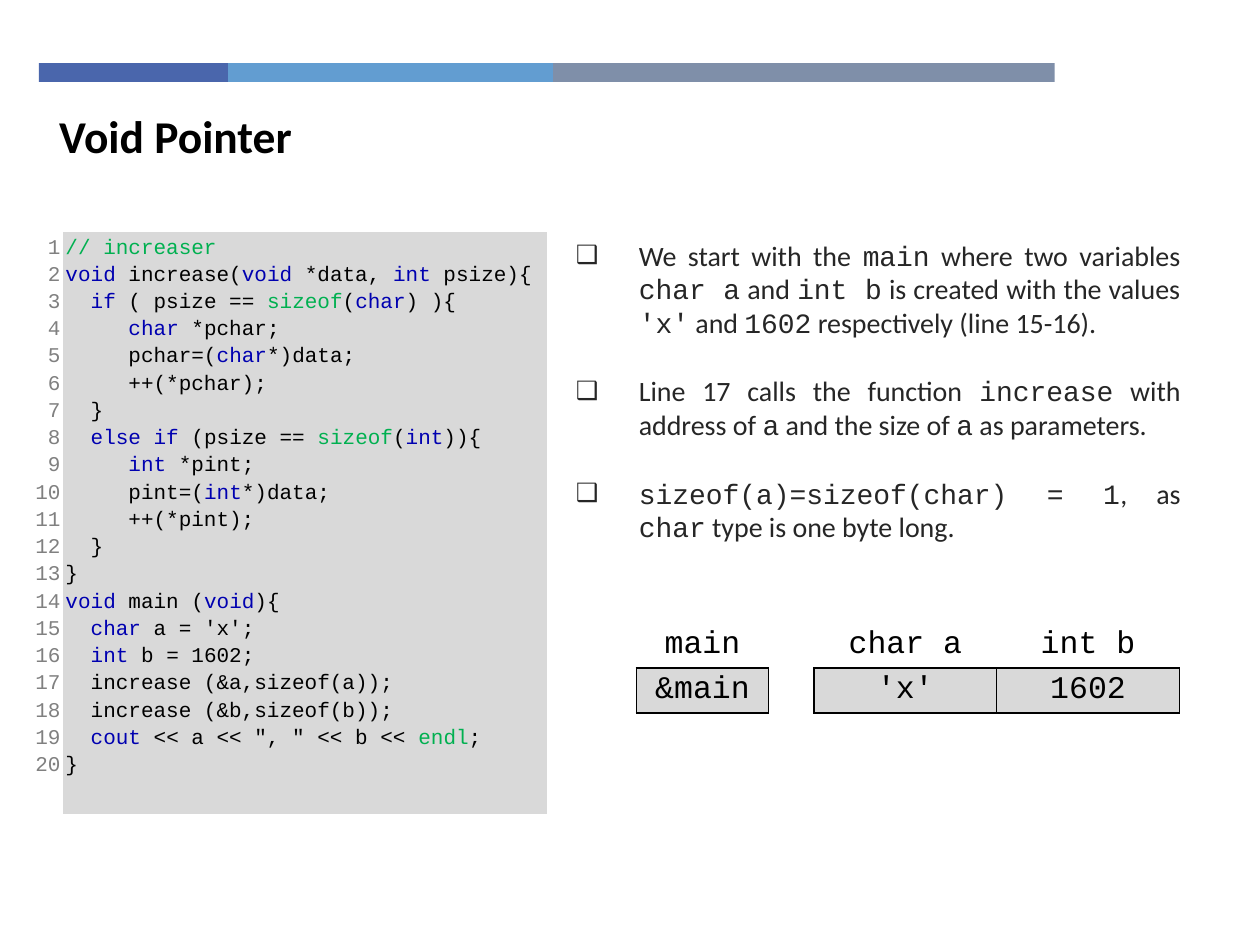
from itertools import accumulate
from typing import NamedTuple

from lxml.etree import SubElement
from pptx import Presentation
from pptx.dml.color import RGBColor
from pptx.enum.shapes import MSO_SHAPE
from pptx.enum.text import MSO_ANCHOR, MSO_AUTO_SIZE, PP_ALIGN
from pptx.oxml.ns import qn
from pptx.util import Inches, Pt

HEX = {
    "navy": "4A66AC", "sky": "629DD1", "slate": "7F8FA9",
    "black": "000000", "text": "262626", "grey": "808080",
    "pale": "D9D9D9", "blue": "0000B0", "green": "00B050",
}
MONO, SANS = "Courier New", "Calibri"
NO_STYLE = "{2D5ABB26-0587-4C30-8999-92F81FD0307C}"
UNIT = Inches(0.1)  # the slide is a grid of 100 columns by 75 rows


class Box(NamedTuple):
    left: float
    top: float
    width: float
    height: float

    def emu(self) -> list[int]:
        return [int(side * UNIT) for side in self]


class Band(NamedTuple):
    hue: str
    cols: float


BANDS = [Band("navy", 15), Band("sky", 25.8), Band("slate", 39.8)]

# Backticks enclose the marked words.
CODE = """`// increaser`
`void` increase(`void `*data, `int `psize){
  `if` ( psize == `sizeof`(`char`) ){
     `char` *pchar;
     pchar=(`char`*)data;
     ++(*pchar);
  }
  `else if `(psize == `sizeof`(`int`)){
     `int` *pint;
     pint=(`int`*)data;
     ++(*pint);
  }
}
`void` main (`void`){
  `char` a = 'x';
  `int` b = 1602;
  increase (&a,sizeof(a));
  increase (&b,sizeof(b));
  `cout` << a << ", " << b << `endl`;
}""".split("\n")
GREEN = {"// increaser", "sizeof", "endl"}

NOTES = [
    "We start with the `main` where two variables `char a` and `int b`"
    " is created with the values `'x'` and `1602` respectively (line 15-16). ",
    "Line 17 calls the function `increase` with address of `a`"
    " and the size of `a` as parameters. ",
    "`sizeof(a)=sizeof(char) = 1`, as `char` type is one byte long. ",
]
MEMORY = [["main", "", "char a", "int b"], ["&main", "", "'x'", "1602"]]


def style(run, size: int, face: str, hue: str, bold: bool = False) -> None:
    font = run.font
    font.size, font.name, font.bold = Pt(size), face, bold
    font.color.rgb = RGBColor.from_string(HEX[hue])


def split(para, text: str):
    """Add a run for each piece and yield it with its marked state."""
    for num, piece in enumerate(text.split("`")):
        if piece:
            run = para.add_run()
            run.text = piece
            yield run, num % 2 == 1


def lines(frame, count: int) -> list:
    return [frame.paragraphs[0]] + [frame.add_paragraph() for _ in range(count - 1)]


def bullet(para) -> None:
    props = para._p.get_or_add_pPr()
    props.set("marL", str(Inches(0.5)))
    props.set("indent", str(-Inches(0.5)))
    SubElement(props, qn("a:buSzPct"), val="90000")
    SubElement(props, qn("a:buChar"), char="❑")


def shade(cell) -> None:
    cell.fill.solid()
    cell.fill.fore_color.rgb = RGBColor.from_string(HEX["pale"])


def inset(cell, left: float, right: float, edge: float) -> None:
    cell.margin_left, cell.margin_right = Inches(left), Inches(right)
    cell.margin_top = cell.margin_bottom = Inches(edge)


def frame_in(cell) -> None:
    """Draw a thin black border on all four sides."""
    props = cell._tc.get_or_add_tcPr()
    for place, side in enumerate("LRTB"):
        line = SubElement(props, qn(f"a:ln{side}"), w=str(Pt(1)))
        fill = SubElement(line, qn("a:solidFill"))
        SubElement(fill, qn("a:srgbClr"), val=HEX["black"])
        props.insert(place, line)


def add_grid(slide, box: Box, rows: int, cols: list[float]):
    """Add a table without a style or fills."""
    shape = slide.shapes.add_table(rows, len(cols), *box.emu())
    for mark in shape.element.iter(qn("a:tableStyleId")):
        mark.text = NO_STYLE
    table = shape.table
    table.first_row = table.horz_banding = False
    for col, width in zip(table.columns, cols):
        col.width = int(width * UNIT)
    for cell in table.iter_cells():
        cell.fill.background()
    return table


def add_bands(slide) -> None:
    ends = accumulate((band.cols for band in BANDS), initial=3.1)
    for band, left in zip(BANDS, ends):
        bar = slide.shapes.add_shape(
            MSO_SHAPE.RECTANGLE, *Box(left, 5, band.cols, 1.5).emu())
        bar.shadow.inherit = False
        bar.fill.solid()
        bar.fill.fore_color.rgb = RGBColor.from_string(HEX[band.hue])
        bar.line.fill.background()


def place(shape, box: Box):
    shape.left, shape.top, shape.width, shape.height = box.emu()
    shape.text_frame.auto_size = MSO_AUTO_SIZE.NONE
    return shape.text_frame


def add_title(slide) -> None:
    frame = place(slide.shapes.title, Box(3.7, 8, 71.6, 5.4))
    frame.text = "Void Pointer"
    para = frame.paragraphs[0]
    para.alignment = PP_ALIGN.LEFT
    style(para.runs[0], 26, SANS, "black", True)


def add_notes(slide) -> None:
    frame = place(slide.placeholders[1], Box(44.7, 18.4, 50, 26))
    for para, note in zip(lines(frame, len(NOTES)), NOTES):
        para.alignment = PP_ALIGN.JUSTIFY
        para.space_before = Pt(20)
        bullet(para)
        for run, code in split(para, note):
            style(run, 16, MONO if code else SANS, "text")


def add_code(slide) -> None:
    table = add_grid(slide, Box(1.9, 18.4, 41.5, 46.2), 1, [3.1, 38.4])
    count, body = table.cell(0, 0), table.cell(0, 1)
    inset(count, 0.01, 0.02, 0.01)
    inset(body, 0.02, 0.01, 0.01)
    shade(body)
    pairs = zip(lines(count.text_frame, len(CODE)), lines(body.text_frame, len(CODE)))
    for num, (left, right) in enumerate(pairs, 1):
        left.line_spacing = right.line_spacing = 1.15
        left.alignment = PP_ALIGN.RIGHT
        left.text = str(num)
        style(left.runs[0], 12, MONO, "grey")
        for run, key in split(right, CODE[num - 1]):
            hue = "green" if run.text in GREEN else "blue"
            style(run, 12, MONO, hue if key else "black")


def add_memory(slide) -> None:
    table = add_grid(slide, Box(50.5, 49.4, 43, 7.2), 2, [10.5, 3.6, 14.5, 14.5])
    for row, words in enumerate(MEMORY):
        for col, word in enumerate(words):
            cell = table.cell(row, col)
            inset(cell, 0.07, 0.07, 0)
            if not word:
                continue
            cell.vertical_anchor = MSO_ANCHOR.MIDDLE
            para = cell.text_frame.paragraphs[0]
            para.text = word
            para.alignment = PP_ALIGN.CENTER
            style(para.runs[0], 18, MONO, "black")
            if row == 1:
                shade(cell)
                frame_in(cell)


def main() -> None:
    deck = Presentation()
    deck.slide_width, deck.slide_height = 100 * UNIT, 75 * UNIT
    slide = deck.slides.add_slide(deck.slide_layouts[1])
    for draw in (add_bands, add_notes, add_code, add_title, add_memory):
        draw(slide)
    deck.save("out.pptx")


if __name__ == "__main__":
    main()
